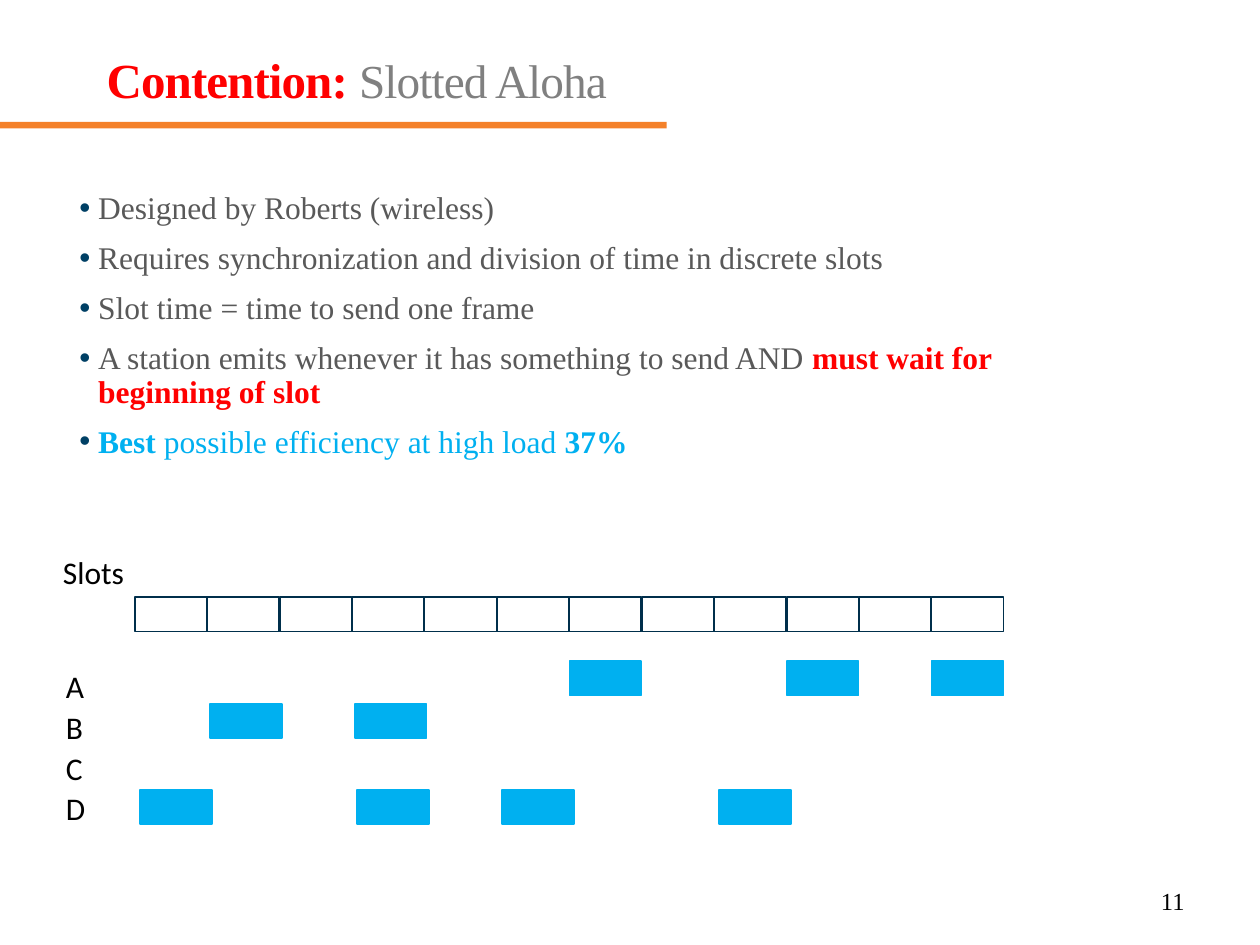
from pptx import Presentation
from pptx import util as u
from pptx.dml.color import RGBColor
from pptx.enum import shapes, text
from pptx.oxml import parse_xml
from pptx.oxml.ns import nsdecls

ORANGE = RGBColor(0xF4, 0x81, 0x2A)
RED = RGBColor(0xFF, 0x00, 0x00)
GRAY = RGBColor(0x80, 0x80, 0x80)
DARK_GRAY = RGBColor(0x59, 0x59, 0x59)
SKY = RGBColor(0x00, 0xB0, 0xF0)
NAVY = RGBColor(0x00, 0x2F, 0x4B)
BLACK = RGBColor(0x00, 0x00, 0x00)
SERIF = "Times New Roman"

BULLETS = [
    [("Designed by Roberts (wireless)", DARK_GRAY, False)],
    [("Requires synchronization and division of time in discrete slots", DARK_GRAY, False)],
    [("Slot time = time to send one frame", DARK_GRAY, False)],
    [
        ("A station emits whenever it has something to send AND ", DARK_GRAY, False),
        ("must wait for beginning of slot", RED, True),
    ],
    [
        ("Best", SKY, True),
        (" possible efficiency at high load ", SKY, False),
        ("37%", SKY, True),
    ],
]
STATIONS = [
    ("A", 0, 0, (6, 9, 11)),
    ("B", 0.05, 0.86, (1, 3)),
    ("C", 0, 0, ()),
    ("D", 0.1, 2.59, (0, 3, 5, 8)),
]
SLOT_COUNT = 12
SLOT_PITCH = 1.46
SLOT_SIZE = (1.45, 0.69)
LABEL_PITCH = 0.82


def add_rectangle(slide, box, fill=None, line=None):
    """Add a flat rectangle at a box given in centimetres."""
    shape = slide.shapes.add_shape(shapes.MSO_SHAPE.RECTANGLE, *map(u.Cm, box))
    shape.shadow.inherit = False
    if fill is None:
        shape.fill.background()
    else:
        shape.fill.solid()
        shape.fill.fore_color.rgb = fill
    if line is None:
        shape.line.fill.background()
    else:
        shape.line.color.rgb = line
        shape.line.width = u.Pt(1)
    return shape


def add_text_frame(slide, box, **formats):
    """Add a text box and apply the given frame settings."""
    frame = slide.shapes.add_textbox(*map(u.Cm, box)).text_frame
    for name, value in formats.items():
        setattr(frame, name, value)
    return frame


def add_run(paragraph, words, color, **formats):
    """Add a run with a colour and font settings."""
    run = paragraph.add_run()
    run.text = words
    run.font.color.rgb = color
    for name, value in formats.items():
        setattr(run.font, name, value)
    return run


def add_bullet(paragraph):
    """Give a paragraph a hanging bullet."""
    properties = paragraph._p.get_or_add_pPr()
    properties.set("marL", str(u.Cm(0.38)))
    properties.set("indent", str(-u.Cm(0.38)))
    properties.append(parse_xml(
        f'<a:buClr {nsdecls("a")}><a:srgbClr val="004065"/></a:buClr>'))
    properties.append(parse_xml(f'<a:buFont {nsdecls("a")} typeface="Arial"/>'))
    properties.append(parse_xml(f'<a:buChar {nsdecls("a")} char="•"/>'))


def add_header(slide, left, top):
    """Place the title and the rule beneath it."""
    add_rectangle(slide, (left, top + 1.55, 13.44, 0.13), ORANGE)
    frame = add_text_frame(slide, (left + 1.9, top, 21.59, 1.7), word_wrap=True,
                           vertical_anchor=text.MSO_ANCHOR.MIDDLE,
                           margin_top=0, margin_bottom=u.Cm(0.2))
    paragraph = frame.paragraphs[0]
    paragraph.line_spacing = 0.9
    for words, color, size, bold in (("Contention: ", RED, 28, True),
                                     ("Slotted Aloha", GRAY, 27, False)):
        run = add_run(paragraph, words, color, name=SERIF, size=u.Pt(size), bold=bold)
        run._r.get_or_add_rPr().set("spc", "-50")


def add_body(slide, box):
    """Place the bulleted list in its box."""
    frame = add_text_frame(slide, box, word_wrap=True)
    for index, parts in enumerate(BULLETS):
        paragraph = frame.add_paragraph() if index else frame.paragraphs[0]
        add_bullet(paragraph)
        paragraph.line_spacing = 0.9
        paragraph.space_before = u.Pt(9 if index else 0)
        for words, color, bold in parts:
            add_run(paragraph, words, color, name=SERIF, size=u.Pt(18), bold=bold)


def add_label(slide, left, top, words):
    """Place one label of the slot diagram."""
    frame = add_text_frame(slide, (left, top, 1.75, 1.02), word_wrap=False)
    add_run(frame.paragraphs[0], words, BLACK, name="Calibri", size=u.Pt(18))


def add_slot_diagram(slide, left, top):
    """Place the slot row and the frames that each station sends."""
    first_slot = left + 1.7
    add_label(slide, left, top, "Slots")
    for column in range(SLOT_COUNT):
        box = (first_slot + column * SLOT_PITCH, top + 1.02, *SLOT_SIZE)
        add_rectangle(slide, box, line=NAVY)
    for row, (name, shift, drop, columns) in enumerate(STATIONS):
        add_label(slide, left + 0.06, top + 2.31 + row * LABEL_PITCH, name)
        for column in columns:
            box = (first_slot + shift + column * SLOT_PITCH, top + 2.31 + drop, *SLOT_SIZE)
            add_rectangle(slide, box, SKY, SKY)


def add_page_number(slide, box):
    """Place the page number at the right of its box."""
    frame = add_text_frame(slide, box, word_wrap=True,
                           vertical_anchor=text.MSO_ANCHOR.MIDDLE)
    paragraph = frame.paragraphs[0]
    paragraph.alignment = text.PP_ALIGN.RIGHT
    add_run(paragraph, "11", BLACK, name=SERIF, size=u.Pt(14))


def main():
    """Build the slide and save it."""
    presentation = Presentation()
    presentation.slide_width = u.Cm(25.4)
    presentation.slide_height = u.Cm(19.05)
    slide = presentation.slides.add_slide(presentation.slide_layouts[6])
    add_header(slide, 0, 0.91)
    add_body(slide, (1.35, 3.76, 21.59, 11.43))
    add_slot_diagram(slide, 1.02, 11.02)
    add_page_number(slide, (18.21, 17.65, 5.92, 1.02))
    presentation.save("out.pptx")


if __name__ == "__main__":
    main()
